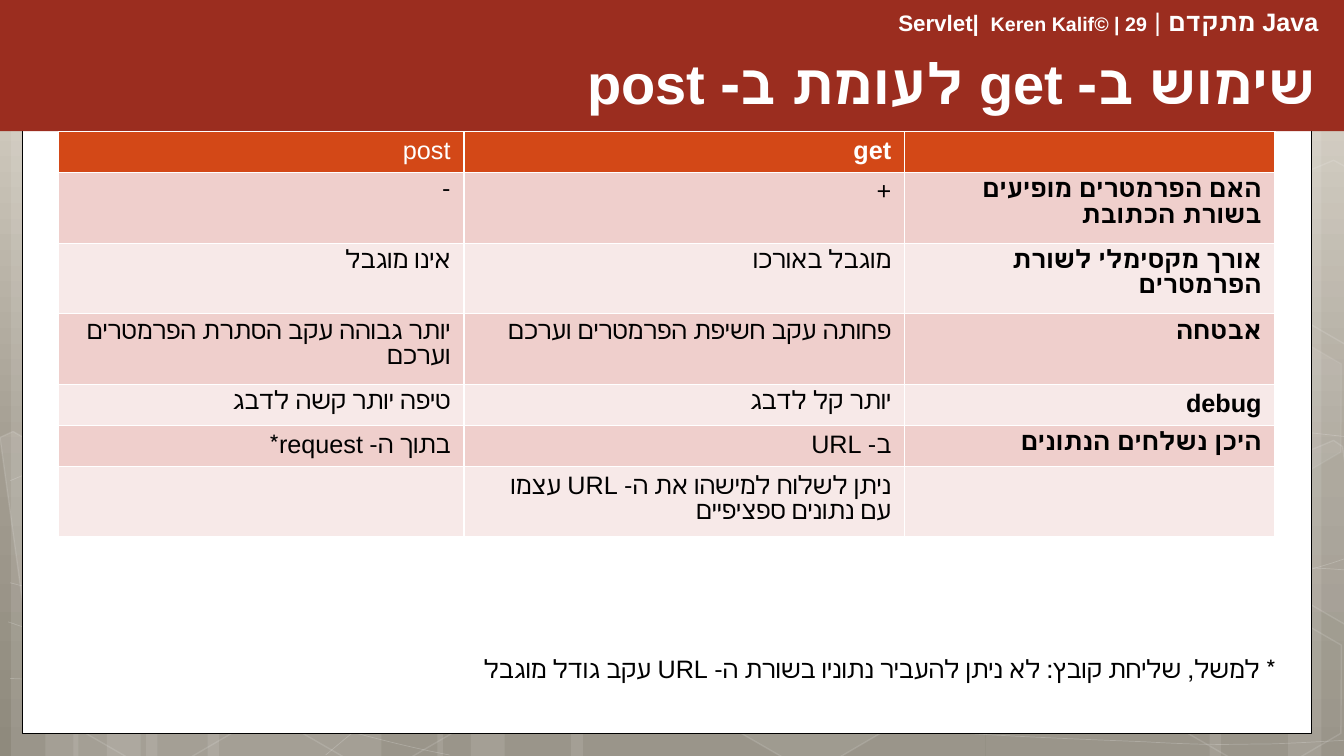
from copy import deepcopy
from dataclasses import dataclass

from lxml.etree import SubElement
from pptx import Presentation
from pptx.dml.color import RGBColor as RGB
from pptx.enum.lang import MSO_LANGUAGE_ID as LANGUAGE
from pptx.enum.shapes import MSO_SHAPE as SHAPE
from pptx.enum.text import MSO_ANCHOR as ANCHOR, PP_ALIGN as ALIGN
from pptx.oxml.ns import qn
from pptx.util import Pt


@dataclass(frozen=True)
class Theme:
    font: str = "Arial"
    white: str = "FFFFFF"
    black: str = "000000"
    banner: str = "9B2D1F"
    banner_base: str = "F5F5F5"
    banner_edge: str = "8B7B57"
    table_head: str = "D34817"
    bands: tuple = ("EFCFCC", "F7E9E8")
    backdrop: tuple = ((0, "DDD7CB"), (0.62, "A29C90"), (1, "8F8A7D"))
    title_size: int = 40
    body_size: int = 18
    topic_size: int = 16
    credit_size: int = 14


theme = Theme()


def paint(shape, fill=None, fill_alpha=100, line=None, width=1, line_alpha=100):
    """Set fill and outline, with opacity in percent."""
    shape.shadow.inherit = False
    for part, color in ((shape.fill, fill), (shape.line.fill, line)):
        if color:
            part.solid()
            part.fore_color.rgb = RGB.from_string(color)
        else:
            part.background()
    if line:
        shape.line.width = Pt(width)
    properties = shape._element.spPr
    for place, alpha in (("a:solidFill", fill_alpha), ("a:ln/a:solidFill", line_alpha)):
        for color in properties.findall(f"{place}/a:srgbClr", properties.nsmap):
            if alpha < 100:
                SubElement(color, qn("a:alpha"), val=str(alpha * 1000))


def write(frame, runs, color, bold=False):
    """Write one right-to-left paragraph from (text, size) runs."""
    frame.word_wrap = True
    paragraph = frame.paragraphs[0]
    paragraph.alignment = ALIGN.RIGHT
    paragraph._p.get_or_add_pPr().set("rtl", "1")
    # Row heights are measured from run fonts, so the fonts sit on the runs
    for text, size in runs:
        run = paragraph.add_run()
        run.text = text
        run.font.name = theme.font
        run.font.size = Pt(size)
        run.font.bold = bold
        run.font.language_id = LANGUAGE.HEBREW
        run.font.color.rgb = RGB.from_string(color)


presentation = Presentation()
presentation.slide_width, presentation.slide_height = Pt(960), Pt(540)
slide = presentation.slides.add_slide(presentation.slide_layouts[6])
shapes = slide.shapes

# Gradient background, top to bottom
backdrop = slide.background.fill
backdrop.gradient()
backdrop.gradient_angle = 270
stop_list = next(slide._element.iter(qn("a:gsLst")))
stop_list.append(deepcopy(stop_list[0]))
for stop, (position, color) in zip(backdrop.gradient_stops, theme.backdrop):
    stop.position = position
    stop.color.rgb = RGB.from_string(color)

# Translucent vertical stripes: left, width
stripes = [(104.4, 168), (8, 48), (32.4, 80), (148.4, 168), (52.4, 48), (76.4, 80),
           (704, 168), (920, 48), (864, 80), (408, 296), (312.4, 48), (336.4, 80)]
for left, width in stripes:
    stripe = shapes.add_shape(SHAPE.RECTANGLE, Pt(left), 0, Pt(width), Pt(540))
    paint(stripe, theme.white, 10)

# Thin curves: a start, then two controls and an end for each segment
curves = [
    [(7.2, 484.6), (59, 486.7), (110.9, 488.9), (182.9, 488.2), (254.9, 487.4),
     (343.4, 486), (439.2, 478.8), (535.7, 471.6), (671.8, 457.9), (759.6, 444.2),
     (848.2, 430.6), (938.2, 408.2), (967, 396.7)],
    [(7.2, 343.4), (34.6, 331.9), (61.9, 321.1), (116.6, 310.3), (171.4, 299.5),
     (248.4, 283.7), (333.4, 278.6), (419, 273.6), (522, 272.9), (627.8, 278.6),
     (733.7, 284.4), (909.4, 306.7), (967, 312.5)],
    [(5.8, 444.2), (121.7, 483.8), (237.6, 523.4), (321.1, 539.3)],
    [(7.2, 416.2), (36.7, 424.1), (67, 432), (123.1, 443.5), (178.6, 454.3),
     (262.1, 472.3), (342, 484.6), (421.9, 496.8), (523.4, 509.8), (602.6, 517),
     (682.6, 524.9), (767.5, 527.8), (818.6, 529.9), (869, 532.8), (882, 531.4),
     (907.2, 531.4), (931.7, 530.6), (949.7, 529.2), (967, 528.5)],
    [(232.6, 539.3), (249.8, 524.9), (266.4, 510.5), (290.2, 497.5), (313.2, 484.6),
     (345.6, 470.2), (372.2, 460.1), (398.9, 450), (415.4, 445.7), (450.7, 438.5),
     (486, 431.3), (550.8, 421.2), (583.9, 416.2), (617.8, 411.1), (622.8, 411.1),
     (653, 409.7), (682.6, 407.5), (729.4, 405.4), (762.5, 404.6), (795.6, 403.9),
     (851, 404.6), (851, 404.6), (851, 404.6), (914.4, 404.6), (914.4, 404.6),
     (932.4, 405.4), (948.2, 406.1), (956.9, 406.8), (965.5, 407.5), (962.6, 406.8),
     (965.5, 407.5)],
]
for curve in curves:
    points = [(Pt(x), Pt(y)) for x, y in curve]
    builder = shapes.build_freeform(*points[0])
    builder.add_line_segments(points[1:], close=False)
    shape = builder.convert_to_shape()
    paint(shape, line=theme.white, width=0.5, line_alpha=20)
    # Turn every three straight pieces into one Bézier piece
    pieces = list(shape._element.iter(qn("a:lnTo")))
    outline = pieces[0].getparent()
    for first in range(0, len(pieces), 3):
        bezier = SubElement(outline, qn("a:cubicBezTo"))
        for piece in pieces[first:first + 3]:
            bezier.append(piece[0])
            outline.remove(piece)

# Tilted hexagons: left, top, fill opacity, line opacity
hexagons = [(320.4, 25.9, 4, 8), (476.6, 424.1, 6, 12), (10.8, 425.5, 0, 12),
            (13.7, 224.6, 7, 8), (167, 426.2, 0, 12), (800.6, 427, 0, 12),
            (800.6, 226.1, 7, 8)]
for left, top, fill_alpha, line_alpha in hexagons:
    hexagon = shapes.add_shape(SHAPE.HEXAGON, Pt(left), Pt(top), Pt(168.5), Pt(109.4))
    hexagon.adjustments[0] = 0.285
    hexagon.rotation = 30
    paint(hexagon, theme.white if fill_alpha else None, fill_alpha,
          theme.white, 1, line_alpha)

# Hexagons cut by the slide edge: fill opacity, corners
cut_hexagons = [
    (10, [(0, 312.5), (9.4, 308.2), (82.8, 350.6), (91.4, 418.3), (28.1, 445),
          (17.3, 438.5)]),
    (4, [(889.2, 341.3), (952.6, 314.6), (959, 319), (977, 450), (971.3, 452.2),
         (897.8, 409.7)]),
    (0, [(889.2, 141.1), (952.6, 114.5), (960.5, 118.8), (977, 249.1), (971.3, 252),
         (897.8, 209.5)]),
]
for fill_alpha, corners in cut_hexagons:
    corners = [(Pt(x), Pt(y)) for x, y in corners]
    builder = shapes.build_freeform(*corners[0])
    builder.add_line_segments(corners[1:], close=True)
    paint(builder.convert_to_shape(), theme.white if fill_alpha else None, fill_alpha,
          theme.white, 1, 12)

# White page and red banner: box, fill, line, line width
plates = [((15.8, 25.9, 920.9, 497.9), theme.white, theme.black, 0.5),
          ((0.7, -0.7, 959, 91.4), theme.banner_base, theme.banner_edge, 1.25),
          ((0, -0.7, 960, 94.3), theme.banner, None, 0)]
for box, fill, line, width in plates:
    plate = shapes.add_shape(SHAPE.RECTANGLE, *map(Pt, box))
    paint(plate, fill, line=line, width=width)

# Running header, title and footnote
size = theme.body_size
texts = [
    ((20, 0.7, 928.8, 65.5), ANCHOR.TOP, theme.white, True,
     [("Java מתקדם | ", size), ("Servlet| ", theme.topic_size),
      (" Keren Kalif© | 29", theme.credit_size)]),
    ((0, 29.6, 946.6, 58.3), ANCHOR.MIDDLE, theme.white, True,
     [("שימוש ב- get לעומת ב- post", theme.title_size)]),
    ((56.9, 463, 861.8, 28.8), ANCHOR.TOP, theme.black, False,
     [("* למשל, שליחת קובץ: לא ניתן להעביר נתוניו בשורת ה- URL עקב גודל מוגבל", size)]),
]
for box, anchor, color, bold, runs in texts:
    frame = shapes.add_textbox(*map(Pt, box)).text_frame
    frame.vertical_anchor = anchor
    write(frame, runs, color, bold)

# Comparison table
rows = [
    ("post", "get", ""),
    ("-", "+", "האם הפרמטרים מופיעים בשורת הכתובת"),
    ("אינו מוגבל", "מוגבל באורכו", "אורך מקסימלי לשורת הפרמטרים"),
    ("יותר גבוהה עקב הסתרת הפרמטרים וערכם", "פחותה עקב חשיפת הפרמטרים וערכם", "אבטחה"),
    ("טיפה יותר קשה לדבג", "יותר קל לדבג", "debug"),
    ("בתוך ה- request*", "ב- URL", "היכן נשלחים הנתונים"),
    ("", "ניתן לשלוח למישהו את ה- URL עצמו עם נתונים ספציפיים", ""),
]
column_widths = (289.4, 314.8, 264.6)
ROW_HEIGHT = 29.2
table_frame = shapes.add_table(len(rows), 3, Pt(42), Pt(94.1), Pt(sum(column_widths)),
                               Pt(ROW_HEIGHT * len(rows)))
table = table_frame.table
for column, width in zip(table.columns, column_widths):
    column.width = Pt(width)
for r, row in enumerate(rows):
    table.rows[r].height = Pt(ROW_HEIGHT)
    for c, text in enumerate(row):
        cell = table.cell(r, c)
        cell.margin_left = cell.margin_right = Pt(9.6)
        cell.margin_top = cell.margin_bottom = Pt(3.6)
        for side in ("a:lnL", "a:lnR", "a:lnT", "a:lnB"):
            border = SubElement(cell._tc.get_or_add_tcPr(), qn(side), w=str(Pt(1)))
            SubElement(SubElement(border, qn("a:solidFill")), qn("a:srgbClr"), val=theme.white)
        cell.fill.solid()
        cell.fill.fore_color.rgb = RGB.from_string(
            theme.bands[(r - 1) % 2] if r else theme.table_head)
        if text:
            write(cell.text_frame, [(text, size)], theme.black if r else theme.white,
                  bold=c == 2 or text == "get")
table_frame.height = Pt(267.8)

presentation.save("out.pptx")
